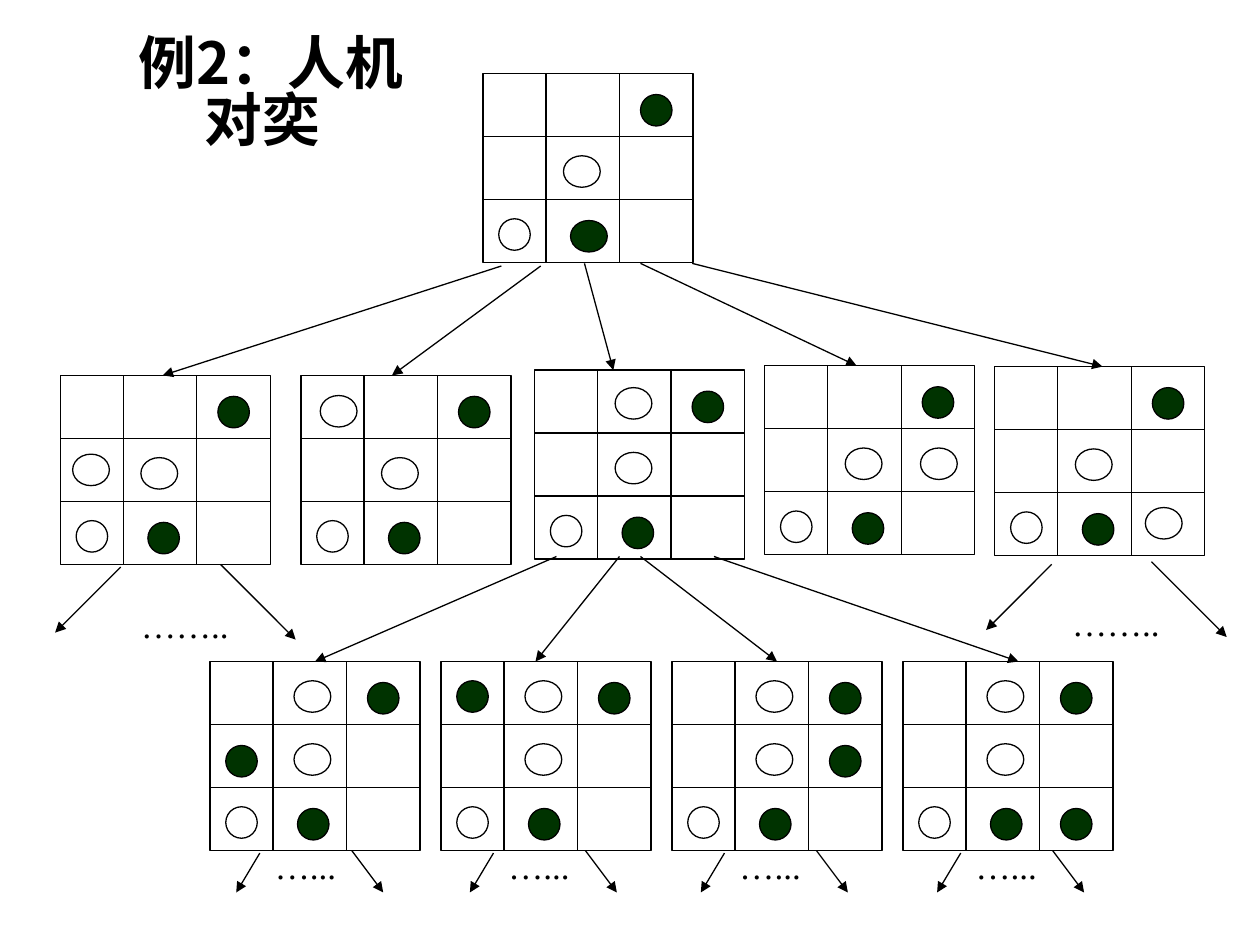
"""Build a slide showing a game tree of tic-tac-toe boards."""
import pptx
import pptx.dml.color
import pptx.enum.shapes
import pptx.enum.text
import pptx.oxml.ns
import pptx.util
from lxml import etree

Pt = pptx.util.Pt
qn = pptx.oxml.ns.qn
SHAPES = pptx.enum.shapes.MSO_SHAPE
COLORS = {
    name: pptx.dml.color.RGBColor.from_string(value)
    for name, value in {"ink": "000000", "dark": "003300", "white": "FFFFFF"}.items()
}


def add_line(start, end, arrow=False):
    line = slide.shapes.add_connector(
        pptx.enum.shapes.MSO_CONNECTOR.STRAIGHT, *[Pt(value) for value in (*start, *end)]
    )
    line.line.color.rgb = COLORS["ink"]
    line.line.width = Pt(0.75)
    properties = line.line._get_or_add_ln()
    if arrow:
        etree.SubElement(properties, qn("a:tailEnd"), type="triangle")
    etree.SubElement(properties.getparent(), qn("a:effectLst"))


def add_text(text, box, size, font_name, wrap):
    frame = slide.shapes.add_textbox(*[Pt(value) for value in box]).text_frame
    frame.word_wrap = wrap
    paragraph = frame.paragraphs[0]
    for index, words in enumerate(text.split("\n")):
        if index:
            paragraph.add_line_break()
        run = paragraph.add_run()
        run.text = words
        run.font.size = Pt(size)
        run.font.name = font_name
        run.font.color.rgb = COLORS["ink"]
        run.font.bold = wrap
        etree.SubElement(run.font._element, qn("a:ea"), typeface=font_name)
    return frame


presentation = pptx.Presentation()
presentation.slide_width = Pt(720)
presentation.slide_height = Pt(540)
slide = presentation.slides.add_slide(presentation.slide_layouts[6])

title = add_text("例2：人机\n对奕", (72, 34.5, 613.5, 41), 33, "Noto Sans CJK SC", True)
title.vertical_anchor = pptx.enum.text.MSO_ANCHOR.MIDDLE
title.paragraphs[0].line_spacing = 0.82
title_properties = title.paragraphs[0]._p.get_or_add_pPr()
title_properties.set("marL", str(Pt(38)))
title_properties.set("indent", str(Pt(-38)))

board_width, board_height, piece_height = 120, 108, 18
round_width, oval_width = 18, 21
common_pieces = [
    ("dark", 90, 12, round_width),
    ("white", 9, 83, round_width),
]
center_piece = ("white", 46, 47, oval_width)
bottom_piece = ("dark", 50, 84, round_width)

boards = [(276, 42, [center_piece, ("dark", 50, 84, oval_width)])]
second_level = [
    (34.5, 214.5, 7, 45),
    (172, 214.5, 11, 11.5),
    (305.5, 211.5, 46, 10),
    (437, 209, 89, 47),
    (568.5, 209.5, 86, 80.5),
]
for left, top, move_left, move_top in second_level:
    move = ("white", move_left, move_top, oval_width)
    boards.append((left, top, [center_piece, bottom_piece, move]))
second_boards = boards[1:]
# The second board's move takes the place of no other piece.
third_level_moves = [(9, 48), (9, 11), (90, 48), (90, 84)]
for index, (move_left, move_top) in enumerate(third_level_moves):
    pieces = [
        ("white", 48, 47, oval_width),
        ("white", 48, 11, oval_width),
        bottom_piece,
        ("dark", move_left, move_top, round_width),
    ]
    boards.append((120 + 132 * index, 378, pieces))

for left, top, pieces in boards:
    frame = slide.shapes.add_shape(
        SHAPES.RECTANGLE, Pt(left), Pt(top), Pt(board_width), Pt(board_height)
    )
    frame.shadow.inherit = False
    frame.fill.background()
    frame.line.color.rgb = COLORS["ink"]
    frame.line.width = Pt(0.75)
    for row in (36, 72):
        add_line((left, top + row), (left + board_width, top + row))
    for column in (36, 78):
        add_line((left + column, top), (left + column, top + board_height))
    for color, piece_left, piece_top, width in common_pieces + pieces:
        piece = slide.shapes.add_shape(
            SHAPES.OVAL, Pt(left + piece_left), Pt(top + piece_top), Pt(width), Pt(piece_height)
        )
        piece.shadow.inherit = False
        piece.fill.solid()
        piece.fill.fore_color.rgb = COLORS[color]
        piece.line.color.rgb = COLORS["ink"]
        piece.line.width = Pt(0.75)

branches = [
    ((286.5, 152), (93, 214.5)),
    ((309, 152), (224, 214.5)),
    ((334, 150.5), (350.5, 211.5)),
    ((366, 150.5), (489.5, 209)),
    ((395.5, 150.5), (630, 209.5)),
    ((318, 318), (180, 378)),
    ((354, 318), (306, 378)),
    ((366, 318), (444, 378)),
    ((408, 318), (582, 378)),
]
for start, end in branches:
    add_line(start, end, arrow=True)

for left, top in [(31.5, 322.5), (563.5, 321)]:
    add_line((left + 37.5, top + 1.5), (left, top + 39), arrow=True)
    add_line((left + 94.5, top), (left + 137.5, top + 43), arrow=True)
    add_text("……..", (left + 42, top + 19, 65, 31), 20, "Times New Roman", False)

for left in (135, 268.5, 400.5, 535.5):
    add_line((left + 13.5, 487.5), (left, 510), arrow=True)
    add_line((left + 66, 486), (left + 84, 510), arrow=True)
    add_text("…...", (left + 15, 479, 50, 31), 20, "Times New Roman", False)

presentation.save("out.pptx")
